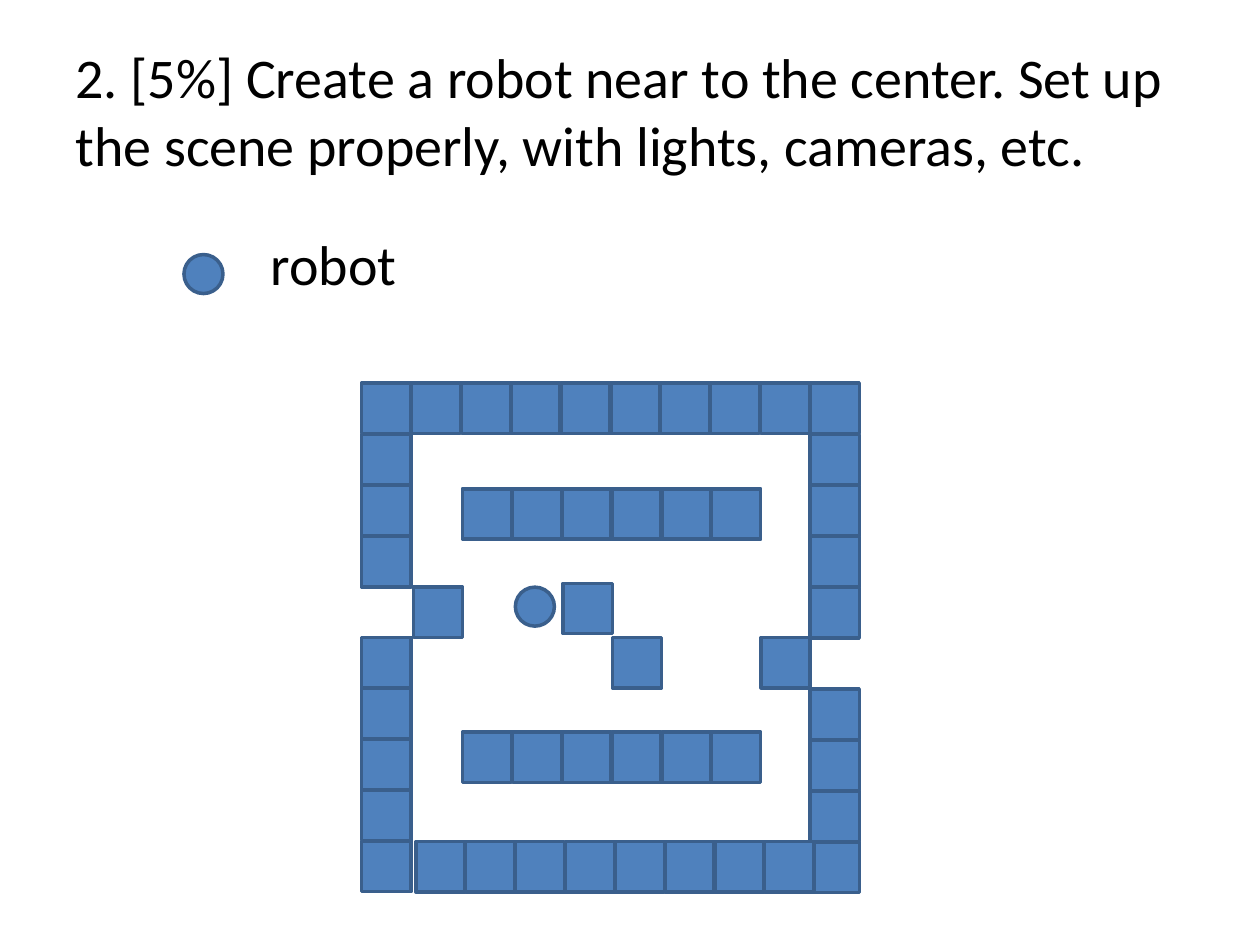
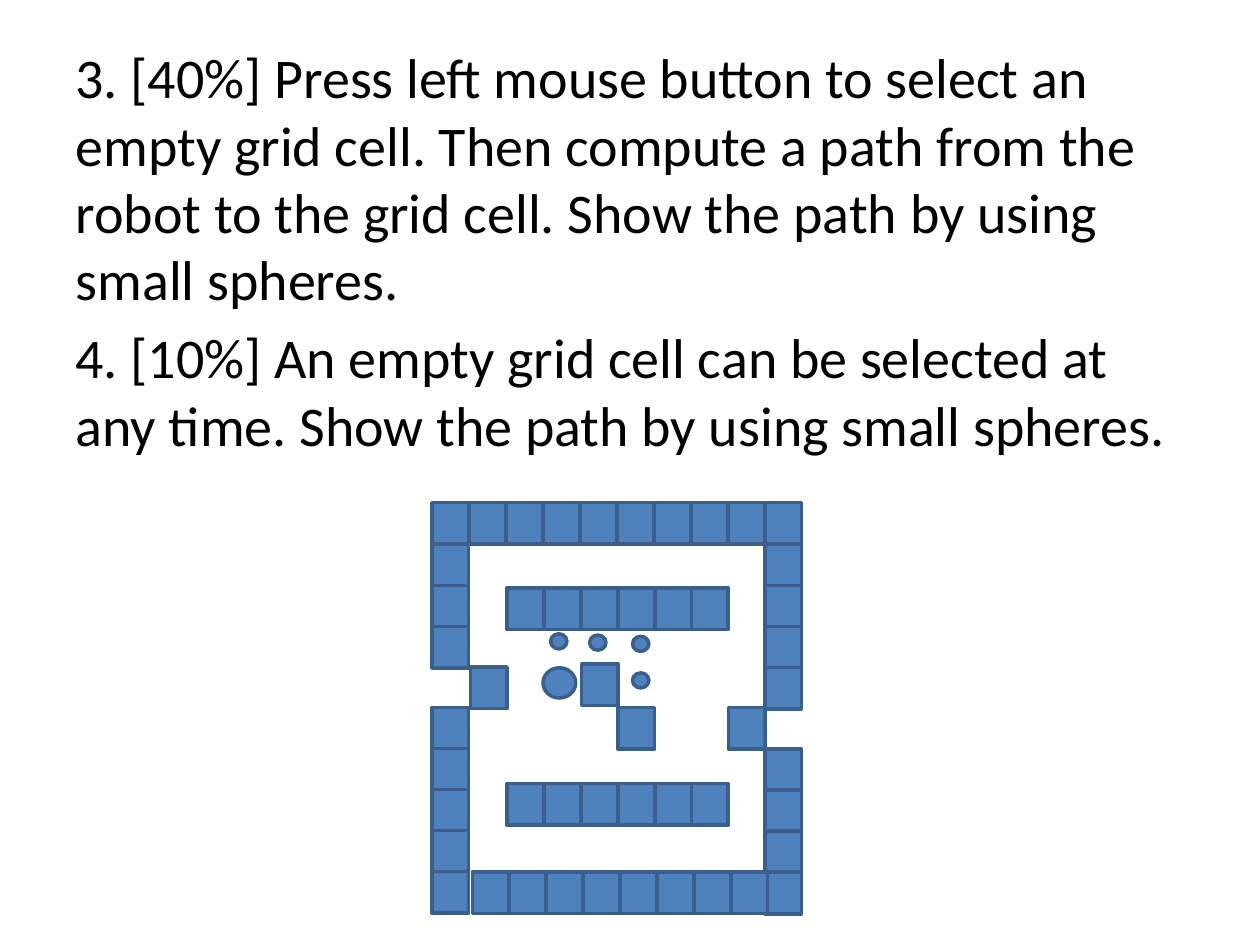
"""Build two slides on a robot that finds its path through a maze."""
from pptx import Presentation
from pptx.dml.color import RGBColor
from pptx.enum.shapes import MSO_SHAPE as Geo
from pptx.enum.text import MSO_ANCHOR as Anchor, MSO_AUTO_SIZE as Fit
from pptx.oxml.ns import qn
from pptx.util import Inches, Pt
from lxml.etree import SubElement

BLUE = RGBColor(0x4F, 0x81, 0xBD)
EDGE = RGBColor(0x3A, 0x5F, 0x8C)
BLACK = RGBColor(0, 0, 0)

FONT = {"name": "Calibri", "size": Pt(32), "bold": False}
BODY = {"left": Inches(0.5), "top": Inches(0.29),
        "width": Inches(9), "height": Inches(6.41)}
FRAME = {"word_wrap": True, "auto_size": Fit.NONE,
         "vertical_anchor": Anchor.TOP}
LABEL = {"word_wrap": False, "auto_size": Fit.SHAPE_TO_FIT_TEXT}

LEFT, TOP, WIDE, HIGH = 2.87, 3.04, 3.56, 3.64
STEP_X, STEP_Y = WIDE / 9, HIGH / 9
WALLS = [
    (2.87, 3.04, 10, 1),
    (6.43, 3.45, 1, 4),
    (6.04, 5.06, 1, 1),
    (6.43, 5.47, 1, 4),
    (2.87, 3.45, 1, 3),
    (3.28, 4.66, 1, 1),
    (2.87, 5.06, 1, 5),
    (3.3, 6.68, 8, 1),
    (3.67, 5.81, 6, 1),
    (3.67, 3.88, 6, 1),
    (4.86, 5.06, 1, 1),
    (4.47, 4.63, 1, 1),
]
PATH = [(4.37, 5.03), (4.68, 5.04), (5.02, 5.05), (5.02, 5.34)]


def apply(item, form):
    """Set each attribute of the item from a dict."""
    for name, val in form.items():
        setattr(item, name, val)


def style(para):
    """Give a paragraph the shared font."""
    apply(para.font, FONT)
    para.font.color.rgb = BLACK


def add_body(slide, texts):
    """Fill the body placeholder with plain paragraphs."""
    slide.shapes.title.element.getparent().remove(slide.shapes.title.element)
    body = slide.placeholders[1]
    apply(body, BODY)
    frame = body.text_frame
    apply(frame, FRAME)
    for num, text in enumerate(texts):
        para = frame.add_paragraph() if num else frame.paragraphs[0]
        para.text = text
        para.space_before = Pt(6.4 if num else 0)
        props = para._p.get_or_add_pPr()
        props.set("marL", "0")
        props.set("indent", "0")
        SubElement(props, qn("a:buNone"))
        style(para)


def add_label(slide, text, *box):
    """Add a single-line label."""
    label = slide.shapes.add_textbox(*map(Inches, box))
    frame = label.text_frame
    apply(frame, LABEL)
    frame.text = text
    style(frame.paragraphs[0])


def add_mark(shapes, kind, *box):
    """Add one blue shape with a dark edge."""
    mark = shapes.add_shape(kind, *map(Inches, box))
    mark.shadow.inherit = False
    mark.fill.solid()
    mark.fill.fore_color.rgb = BLUE
    mark.line.color.rgb = EDGE
    mark.line.width = Pt(2)


def add_maze(shapes, left, top, wide, high, cell):
    """Draw the walls, scaled to the given span between corner cells."""
    zoom_x, zoom_y = wide / WIDE, high / HIGH
    for x, y, cols, rows in WALLS:
        for col in range(cols):
            for row in range(rows):
                add_mark(shapes, Geo.RECTANGLE,
                         left + (x - LEFT + col * STEP_X) * zoom_x,
                         top + (y - TOP + row * STEP_Y) * zoom_y, *cell)


def main():
    """Build and save both slides."""
    deck = Presentation()
    deck.slide_width, deck.slide_height = Inches(10), Inches(7.5)
    plan = deck.slide_layouts[1]

    scene = deck.slides.add_slide(plan)
    add_body(scene, ["2. [5%] Create a robot near to the center. Set up the "
                     "scene properly, with lights, cameras, etc."])
    add_mark(scene.shapes, Geo.OVAL, 1.46, 2.02, 0.31, 0.31)
    add_label(scene, "robot", 2.05, 1.77, 1.21, 0.64)
    add_maze(scene.shapes, LEFT, TOP, WIDE, HIGH, (0.39, 0.4))
    add_mark(scene.shapes, Geo.OVAL, 4.09, 4.66, 0.31, 0.31)

    route = deck.slides.add_slide(plan)
    add_body(route, [
        "3. [40%] Press left mouse button to select an empty grid cell. "
        "Then compute a path from the robot to the grid cell. "
        "Show the path by using small spheres.",
        "4. [10%] An empty grid cell can be selected at any time. "
        "Show the path by using small spheres."])
    group = route.shapes.add_group_shape()
    add_maze(group.shapes, 3.43, 3.99, 2.64, 2.93, (0.29, 0.33))
    add_mark(route.shapes, Geo.OVAL, 4.31, 5.3, 0.26, 0.24)
    for x, y in PATH:
        add_mark(route.shapes, Geo.OVAL, x, y, 0.13, 0.12)

    deck.save("out.pptx")


if __name__ == "__main__":
    main()
